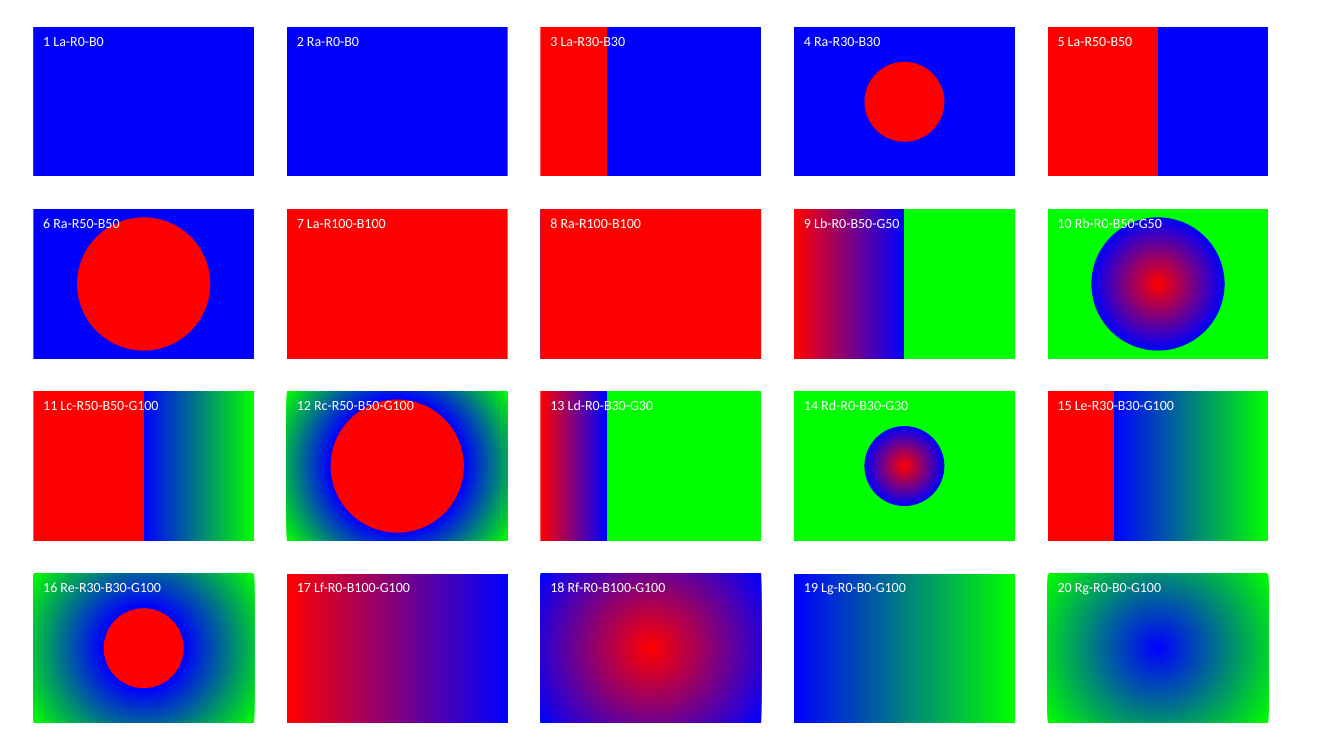
import pptx
import pptx.dml.color
import pptx.enum.shapes
import pptx.enum.text
import pptx.oxml
import pptx.oxml.ns
import pptx.util

THEME = {
    "font": "Calibri",
    "label_size": 10,
    "label_color": "FFFFFF",
    "stops": {"R": "FF0000", "B": "0000FF", "G": "00FF00"},
}
COLUMNS = 5
LEFT, TOP = 0.33, 0.27
COLUMN_STEP, ROW_STEP = 2.515, 1.807
SWATCH_WIDTH, SWATCH_HEIGHT = 2.19, 1.48

# Family letter and the stop positions in percent, in the order R, B, G
FAMILIES = [
    ("a", (0, 0)), ("a", (30, 30)), ("a", (50, 50)), ("a", (100, 100)),
    ("b", (0, 50, 50)), ("c", (50, 50, 100)), ("d", (0, 30, 30)),
    ("e", (30, 30, 100)), ("f", (0, 100, 100)), ("g", (0, 0, 100)),
]
DIRECTIONS = {
    "L": '<a:lin ang="0" scaled="0"/>',
    "R": '<a:path path="circle">'
         '<a:fillToRect l="50000" t="50000" r="50000" b="50000"/></a:path>',
}


def write_text(shape, text, size, color, font,
               align=pptx.enum.text.PP_ALIGN.LEFT,
               anchor=pptx.enum.text.MSO_ANCHOR.TOP):
    frame = shape.text_frame
    frame.word_wrap = True
    frame.vertical_anchor = anchor
    paragraph = frame.paragraphs[0]
    paragraph.alignment = align
    run = paragraph.add_run()
    run.text = text
    run.font.size = pptx.util.Pt(size)
    run.font.name = font
    run.font.color.rgb = pptx.dml.color.RGBColor.from_string(color)


def fill_gradient(shape, stops, direction):
    """Fill with (letter, percent) stops, coincident stops included."""
    stop_xml = "".join(
        f'<a:gs pos="{percent * 1000}">'
        f'<a:srgbClr val="{THEME["stops"][letter]}"/></a:gs>'
        for letter, percent in stops
    )
    gradient = pptx.oxml.parse_xml(
        f'<a:gradFill {pptx.oxml.ns.nsdecls("a")} rotWithShape="1">'
        f'<a:gsLst>{stop_xml}</a:gsLst>{DIRECTIONS[direction]}</a:gradFill>'
    )
    shape.fill.gradient()
    properties = shape.element.spPr
    properties.replace(
        properties.find(pptx.oxml.ns.qn("a:gradFill")), gradient)


presentation = pptx.Presentation()
presentation.slide_width = pptx.util.Inches(13.33)
presentation.slide_height = pptx.util.Inches(7.5)
slide = presentation.slides.add_slide(presentation.slide_layouts[6])

samples = [(direction, family, positions)
           for family, positions in FAMILIES for direction in DIRECTIONS]

for index, (direction, family, positions) in enumerate(samples):
    row, column = divmod(index, COLUMNS)
    swatch = slide.shapes.add_shape(
        pptx.enum.shapes.MSO_SHAPE.RECTANGLE,
        pptx.util.Inches(LEFT + column * COLUMN_STEP),
        pptx.util.Inches(TOP + row * ROW_STEP),
        pptx.util.Inches(SWATCH_WIDTH),
        pptx.util.Inches(SWATCH_HEIGHT),
    )
    swatch.shadow.inherit = False
    swatch.line.fill.background()
    stops = list(zip(THEME["stops"], positions))
    fill_gradient(swatch, stops, direction)
    stop_names = "-".join(f"{letter}{percent}" for letter, percent in stops)
    write_text(swatch, f"{index + 1} {direction}{family}-{stop_names}",
               size=THEME["label_size"], color=THEME["label_color"],
               font=THEME["font"])

presentation.save("out.pptx")
